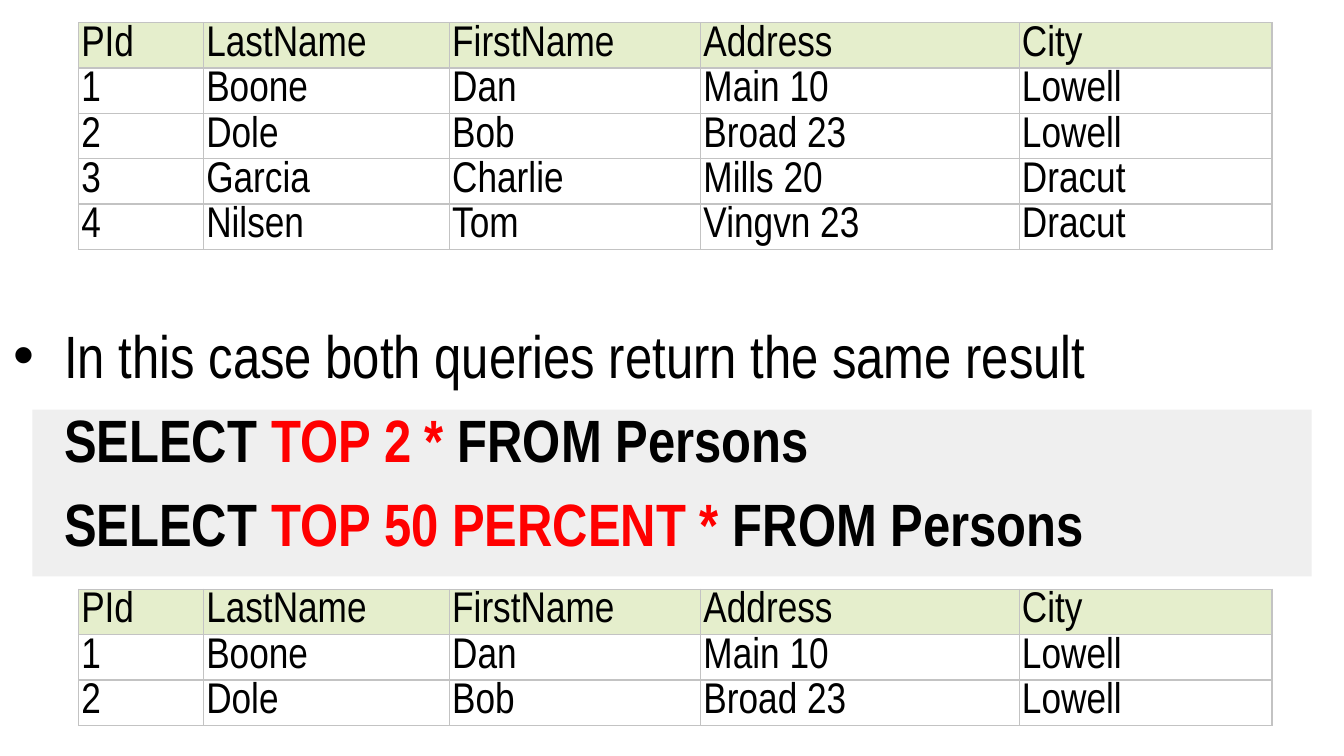
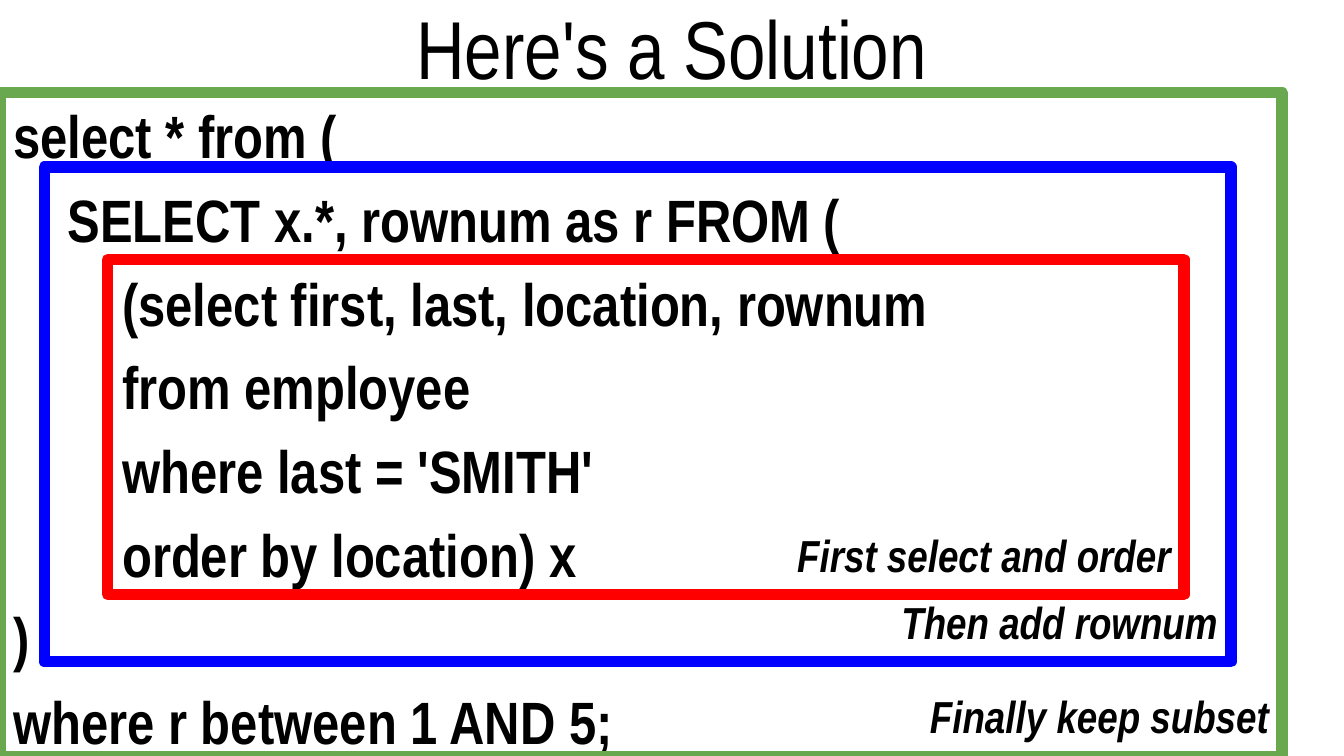
from dataclasses import dataclass

from lxml import etree
from pptx import Presentation
from pptx.dml.color import RGBColor
from pptx.enum.shapes import MSO_SHAPE
from pptx.enum.text import MSO_ANCHOR, PP_ALIGN
from pptx.oxml.ns import qn
from pptx.util import Emu, Inches, Pt

RECTANGLE = MSO_SHAPE.RECTANGLE
TOP, MIDDLE, BOTTOM = MSO_ANCHOR.TOP, MSO_ANCHOR.MIDDLE, MSO_ANCHOR.BOTTOM
LEFT, CENTER, RIGHT = PP_ALIGN.LEFT, PP_ALIGN.CENTER, PP_ALIGN.RIGHT

BLACK = RGBColor(0x00, 0x00, 0x00)
WHITE = RGBColor(0xFF, 0xFF, 0xFF)
RED = RGBColor(0xFF, 0x00, 0x00)
BLUE = RGBColor(0x00, 0x00, 0xFF)
GREEN = RGBColor(0x6A, 0xA8, 0x4F)
CODE_BAND = RGBColor(0xEF, 0xEF, 0xEF)
HEADER_FILL = RGBColor(0xE5, 0xEE, 0xCC)
BORDER_COLOR = "C3C3C3"

FONT = "Arial Narrow"
TITLE_SIZE, BODY_SIZE, TABLE_SIZE, NOTE_SIZE = 44, 32, 23, 24
SPACE_BEFORE = Pt(6.4)
TABLE_LINE_HEIGHT = Pt(21.4)
BULLET_INDENT = Inches(0.38)
CODE_INDENT = Pt(29.2)

SLIDE_WIDTH = Inches(10)
SLIDE_HEIGHT = Emu(SLIDE_WIDTH * 9 // 16)
ROW_PERCENT = 6
COLUMN_PERCENTS = (9.3, 18.3, 18.7, 23.7, 18.8)

HEADER = ("PId", "LastName", "FirstName", "Address", "City")
PERSONS = (
    ("1", "Boone", "Dan", "Main 10", "Lowell"),
    ("2", "Dole", "Bob", "Broad 23", "Lowell"),
    ("3", "Garcia", "Charlie", "Mills 20", "Dracut"),
    ("4", "Nilsen", "Tom", "Vingvn 23", "Dracut"),
)


def across(percent: float) -> Emu:
    return Emu(round(SLIDE_WIDTH * percent / 100))


def down(percent: float) -> Emu:
    return Emu(round(SLIDE_HEIGHT * percent / 100))


@dataclass(frozen=True)
class Box:
    """A place on the slide, in percent of its width and height."""
    left: float
    top: float
    width: float
    height: float

    def lengths(self) -> tuple[Emu, Emu, Emu, Emu]:
        return across(self.left), down(self.top), across(self.width), down(self.height)


@dataclass(frozen=True)
class QueryFrame:
    box: Box
    color: RGBColor
    note: str


@dataclass(frozen=True)
class CodeLine:
    text: str
    level: int = 0


QUERY_FRAMES = (
    QueryFrame(Box(0, 12.25, 95.4, 87.8), GREEN, "Finally keep subset"),
    QueryFrame(Box(3.3, 22.1, 88.3, 65.45), BLUE, "Then add rownum"),
    QueryFrame(Box(8, 34.35, 80.1, 44.3), RED, "First select and order"),
)
SOLUTION = (
    CodeLine("select * from ("),
    CodeLine("SELECT x.*, rownum as r FROM (", 1),
    CodeLine("(select first, last, location, rownum", 2),
    CodeLine("from employee", 2),
    CodeLine("where last = 'SMITH'", 2),
    CodeLine("order by location) x", 2),
    CodeLine(")"),
    CodeLine("where r between 1 AND 5;"),
)


def write_text(paragraph, text: str, *, size: float = BODY_SIZE, color: RGBColor = BLACK,
               bold: bool = False, italic: bool = False, align=LEFT) -> None:
    paragraph.alignment = align
    run = paragraph.add_run()
    run.text = text
    font = run.font
    font.name, font.size, font.bold, font.italic = FONT, Pt(size), bold, italic
    font.color.rgb = color


def next_paragraph(frame, margin: int = 0, indent: int = 0):
    """Return the unused first paragraph, or a new one set apart from the last."""
    paragraph = frame.paragraphs[0]
    if paragraph.runs:
        paragraph = frame.add_paragraph()
        paragraph.space_before = SPACE_BEFORE
    properties = paragraph._p.get_or_add_pPr()
    properties.set("marL", str(margin))
    properties.set("indent", str(indent))
    return paragraph


def add_text_frame(slide, box: Box, anchor=TOP):
    frame = slide.shapes.add_textbox(*box.lengths()).text_frame
    frame.word_wrap = True
    frame.vertical_anchor = anchor
    return frame


def add_rectangle(slide, box: Box):
    shape = slide.shapes.add_shape(RECTANGLE, *box.lengths())
    shape.shadow.inherit = False
    return shape


def add_query_frame(slide, query: QueryFrame) -> None:
    shape = add_rectangle(slide, query.box)
    shape.fill.background()
    shape.line.color.rgb = query.color
    shape.line.width = Pt(6)
    etree.SubElement(shape.line._get_or_add_ln(), qn("a:round"))
    frame = shape.text_frame
    frame.word_wrap = True
    frame.vertical_anchor = BOTTOM
    frame.margin_left = frame.margin_right = Inches(0.1)
    frame.margin_top = frame.margin_bottom = Inches(0.1)
    write_text(frame.paragraphs[0], query.note, size=NOTE_SIZE, bold=True,
               italic=True, align=RIGHT)


def add_borders(cell) -> None:
    properties = cell._tc.get_or_add_tcPr()
    for position, side in enumerate(("lnL", "lnR", "lnT", "lnB")):
        line = etree.Element(qn(f"a:{side}"), w=str(Pt(0.75)))
        fill = etree.SubElement(line, qn("a:solidFill"))
        etree.SubElement(fill, qn("a:srgbClr"), val=BORDER_COLOR)
        properties.insert(position, line)


def fill_cell(cell, text: str, color: RGBColor) -> None:
    cell.fill.solid()
    cell.fill.fore_color.rgb = color
    cell.margin_left = cell.margin_right = Inches(0.02)
    cell.margin_top = cell.margin_bottom = Inches(0.02)
    paragraph = cell.text_frame.paragraphs[0]
    paragraph.line_spacing = TABLE_LINE_HEIGHT
    write_text(paragraph, text, size=TABLE_SIZE)
    add_borders(cell)


def add_persons_table(slide, top: float, persons: tuple) -> None:
    rows = (HEADER, *persons)
    box = Box(5.85, top, sum(COLUMN_PERCENTS), ROW_PERCENT * len(rows))
    table = slide.shapes.add_table(len(rows), len(HEADER), *box.lengths()).table
    table.horz_banding = False
    for column, percent in zip(table.columns, COLUMN_PERCENTS):
        column.width = across(percent)
    for row_index, values in enumerate(rows):
        table.rows[row_index].height = down(ROW_PERCENT)
        for column_index, value in enumerate(values):
            color = WHITE if row_index else HEADER_FILL
            fill_cell(table.cell(row_index, column_index), value, color)


def build_top_slide(slide) -> None:
    band = add_rectangle(slide, Box(2.4, 54.2, 95.2, 22.05))
    band.fill.solid()
    band.fill.fore_color.rgb = CODE_BAND
    band.line.fill.background()
    add_persons_table(slide, 3, PERSONS)
    add_persons_table(slide, 77.95, PERSONS[:2])

    frame = add_text_frame(slide, Box(0, 41.35, 100, 36.65))
    statement = next_paragraph(frame, BULLET_INDENT, -BULLET_INDENT)
    properties = statement._p.get_or_add_pPr()
    etree.SubElement(properties, qn("a:buFont"), typeface="Arial")
    etree.SubElement(properties, qn("a:buChar"), char="•")
    write_text(statement, "In this case both queries return the same result")
    for clause in ("TOP 2 *", "TOP 50 PERCENT *"):
        query = next_paragraph(frame, BULLET_INDENT)
        write_text(query, "SELECT ", bold=True)
        write_text(query, clause, bold=True, color=RED)
        write_text(query, " FROM Persons", bold=True)


def build_solution_slide(slide) -> None:
    title = add_text_frame(slide, Box(0, 0, 100, 12.25), MIDDLE)
    write_text(title.paragraphs[0], "Here's a Solution", size=TITLE_SIZE, align=CENTER)
    body = add_text_frame(slide, Box(0, 12.25, 100, 87.8))
    for line in SOLUTION:
        write_text(next_paragraph(body, CODE_INDENT * line.level), line.text, bold=True)
    for query in QUERY_FRAMES:
        add_query_frame(slide, query)


def main() -> None:
    presentation = Presentation()
    presentation.slide_width, presentation.slide_height = SLIDE_WIDTH, SLIDE_HEIGHT
    blank_layout = presentation.slide_layouts[6]
    for build in (build_top_slide, build_solution_slide):
        build(presentation.slides.add_slide(blank_layout))
    presentation.save("out.pptx")


if __name__ == "__main__":
    main()
